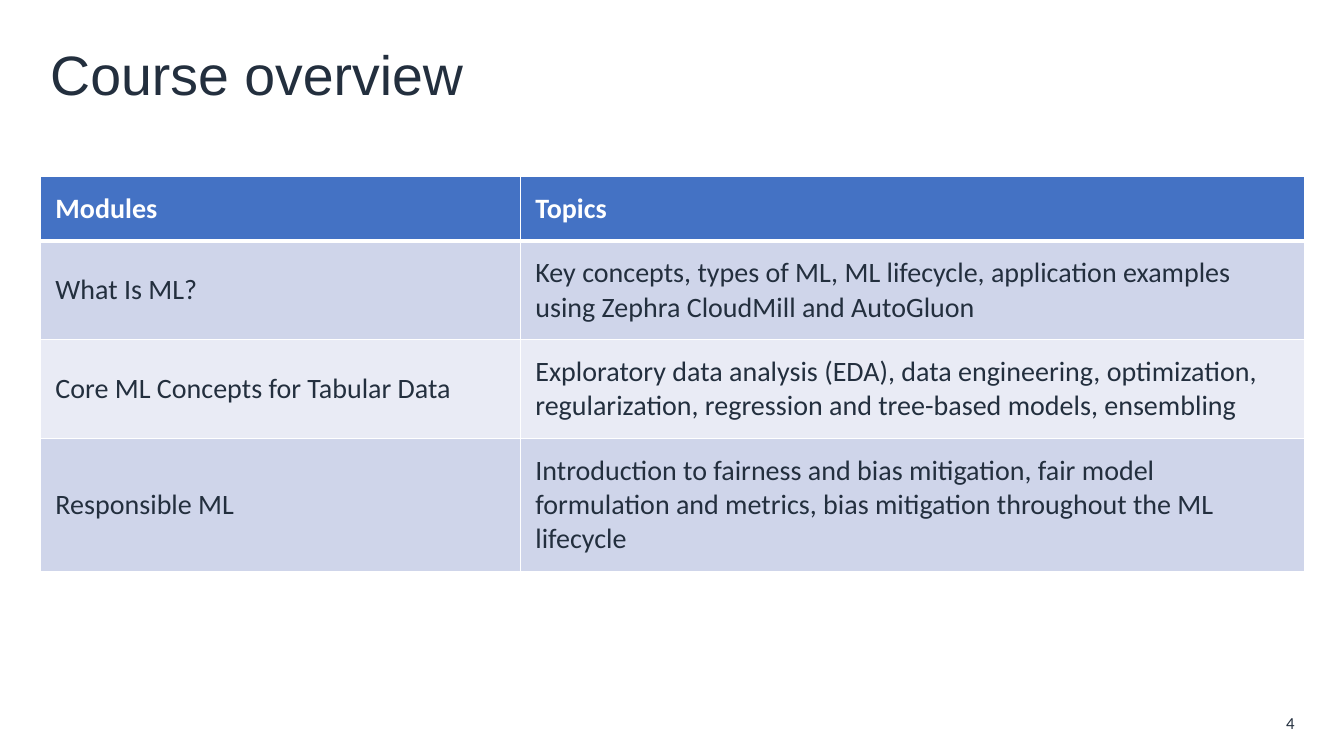
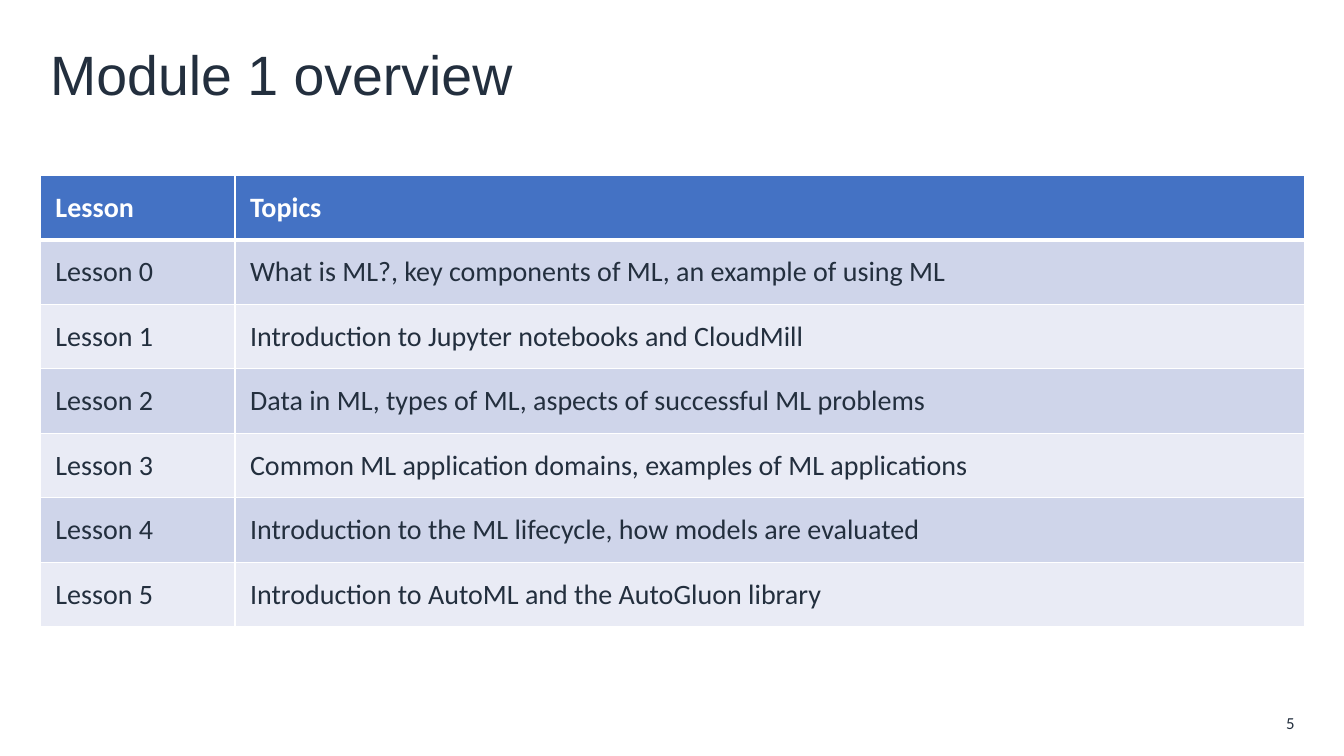
"""Build two course overview slides, each with a title, a table and a page number."""
from dataclasses import dataclass

from lxml.etree import SubElement
from pptx import Presentation
from pptx.dml.color import RGBColor
from pptx.enum.text import MSO_ANCHOR as Anchor, PP_ALIGN as Align
from pptx.oxml.ns import qn
from pptx.slide import Slide
from pptx.table import _Cell as Cell
from pptx.util import Inches, Pt

COLORS = {
    "ink": "232F3E",
    "header": "4472C4",
    "band_dark": "CFD5EA",
    "band_light": "E9EBF5",
    "white": "FFFFFF",
}
MARGIN = 0.4
CONTENT_WIDTH = 12.54
CELL_PADDING = 0.15
LINE_HEIGHT = 0.34
RULE = 1
HEADER_RULE = 3


@dataclass(frozen=True)
class TextStyle:
    font: str
    size: float
    color: str = "ink"
    bold: bool = False
    align: Align = Align.LEFT


TITLE = TextStyle("Arial", 39.6)
PAGE_NUMBER = TextStyle("Calibri", 12, align=Align.RIGHT)
HEADING = TextStyle("Calibri", 20, "white", True)
BODY = TextStyle("Calibri", 20)


@dataclass(frozen=True)
class Row:
    label: str
    topics: str
    lines: int = 1


@dataclass(frozen=True)
class Overview:
    title: str
    page: int
    top: float
    label_width: float
    rows: list[Row]


OVERVIEWS = [
    Overview("Course overview", 4, 1.75, 4.76, [
        Row("Modules", "Topics"),
        Row("What Is ML?",
            "Key concepts, types of ML, ML lifecycle, application examples "
            "using Zephra CloudMill and AutoGluon", 2),
        Row("Core ML Concepts for Tabular Data",
            "Exploratory data analysis (EDA), data engineering, optimization, "
            "regularization, regression and tree-based models, ensembling", 2),
        Row("Responsible ML",
            "Introduction to fairness and bias mitigation, fair model formulation "
            "and metrics, bias mitigation throughout the ML lifecycle", 3),
    ]),
    Overview("Module 1 overview", 5, 1.74, 1.93, [
        Row("Lesson", "Topics"),
        Row("Lesson 0", "What is ML?, key components of ML, an example of using ML"),
        Row("Lesson 1", "Introduction to Jupyter notebooks and CloudMill"),
        Row("Lesson 2", "Data in ML, types of ML, aspects of successful ML problems"),
        Row("Lesson 3", "Common ML application domains, examples of ML applications"),
        Row("Lesson 4", "Introduction to the ML lifecycle, how models are evaluated"),
        Row("Lesson 5", "Introduction to AutoML and the AutoGluon library"),
    ]),
]


def rgb(name: str) -> RGBColor:
    return RGBColor.from_string(COLORS[name])


def write(target, text: str, style: TextStyle) -> None:
    target.text = text
    paragraph = target.paragraphs[0]
    paragraph.alignment = style.align
    paragraph.font.name = style.font
    paragraph.font.size = Pt(style.size)
    paragraph.font.bold = style.bold
    paragraph.font.color.rgb = rgb(style.color)


def add_text(slide: Slide, text: str, style: TextStyle,
             left: float, top: float, width: float, height: float) -> None:
    frame = slide.shapes.add_textbox(
        Inches(left), Inches(top), Inches(width), Inches(height)).text_frame
    frame.word_wrap = True
    frame.vertical_anchor = Anchor.MIDDLE
    write(frame, text, style)


def add_borders(cell: Cell, top: float, bottom: float) -> None:
    properties = cell._tc.get_or_add_tcPr()
    for side, width in (("L", RULE), ("R", RULE), ("T", top), ("B", bottom)):
        line = SubElement(properties, qn(f"a:ln{side}"), w=str(Pt(width)))
        fill = SubElement(line, qn("a:solidFill"))
        SubElement(fill, qn("a:srgbClr"), val=COLORS["white"])


def fill_cell(cell: Cell, text: str, row_index: int) -> None:
    is_header = row_index == 0
    cell.margin_left = cell.margin_right = Inches(CELL_PADDING)
    cell.margin_top = cell.margin_bottom = Inches(CELL_PADDING)
    cell.vertical_anchor = Anchor.MIDDLE
    add_borders(cell, HEADER_RULE if row_index == 1 else RULE,
                HEADER_RULE if is_header else RULE)
    band = "band_dark" if row_index % 2 else "band_light"
    cell.fill.solid()
    cell.fill.fore_color.rgb = rgb("header" if is_header else band)
    write(cell.text_frame, text, HEADING if is_header else BODY)


def add_overview_table(slide: Slide, overview: Overview) -> None:
    heights = [2 * CELL_PADDING + LINE_HEIGHT * row.lines for row in overview.rows]
    table = slide.shapes.add_table(
        len(heights), 2, Inches(MARGIN), Inches(overview.top),
        Inches(CONTENT_WIDTH), Inches(sum(heights))).table
    table.columns[0].width = Inches(overview.label_width)
    table.columns[1].width = Inches(CONTENT_WIDTH - overview.label_width)
    for index, (row, height) in enumerate(zip(overview.rows, heights)):
        table.rows[index].height = Inches(height)
        for column, text in enumerate((row.label, row.topics)):
            fill_cell(table.cell(index, column), text, index)


def main() -> None:
    deck = Presentation()
    deck.slide_width, deck.slide_height = Inches(13.33), Inches(7.5)
    for overview in OVERVIEWS:
        slide = deck.slides.add_slide(deck.slide_layouts[6])
        add_text(slide, str(overview.page), PAGE_NUMBER, 12.41, 7.05, 0.53, 0.25)
        add_text(slide, overview.title, TITLE, MARGIN, 0.33, CONTENT_WIDTH, 0.8)
        add_overview_table(slide, overview)
    deck.save("out.pptx")


if __name__ == "__main__":
    main()
